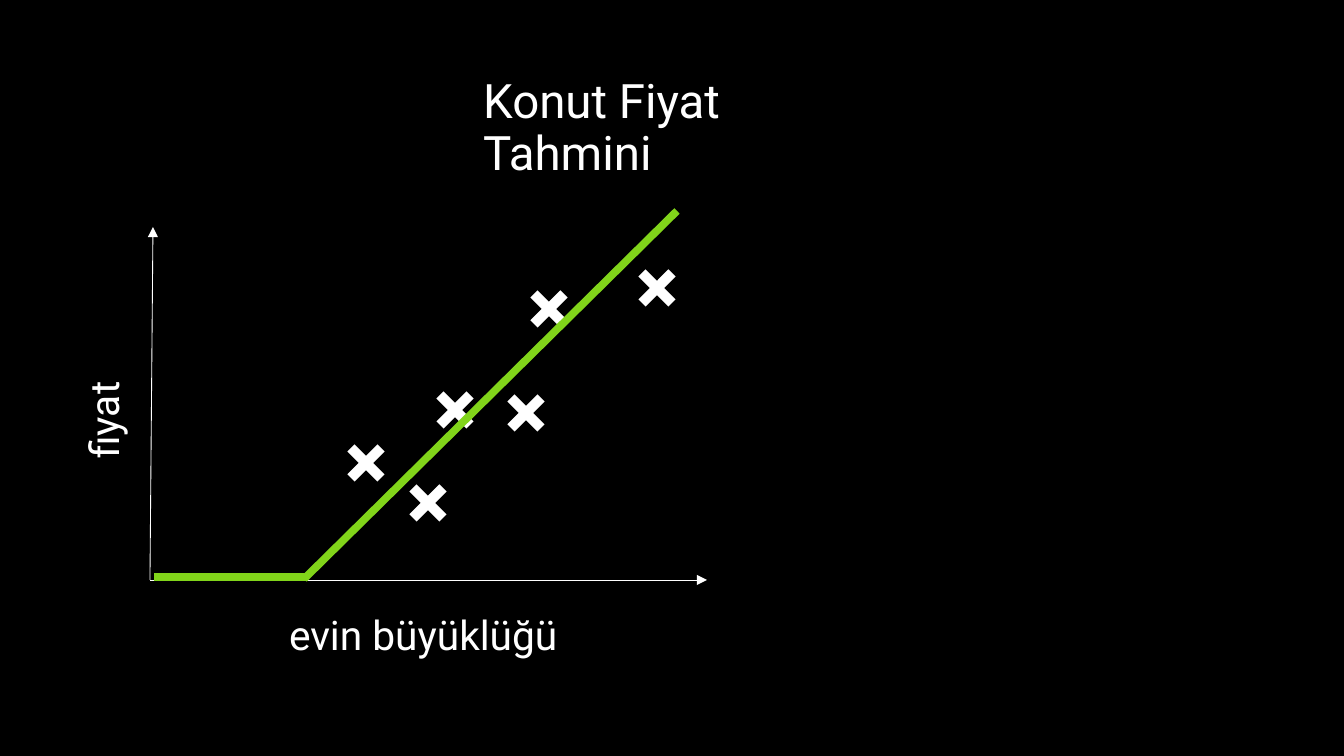
from pptx import Presentation
from pptx.dml.color import RGBColor
from pptx.enum.shapes import MSO_CONNECTOR as Link
from pptx.enum.text import MSO_ANCHOR as Anchor, MSO_AUTO_SIZE as Fit, PP_ALIGN as Align
from pptx.oxml.ns import qn
from pptx.util import Emu, Pt
from lxml.etree import SubElement

SCALE = 7495  # EMU in one px
BLACK = RGBColor(0x00, 0x00, 0x00)
WHITE = RGBColor(0xFF, 0xFF, 0xFF)
GREEN = RGBColor(0x81, 0xD4, 0x1A)
FONT = "Roboto"
HALF = 15  # half the width of a cross

# Centres of the houses on the plot
HOUSES = [(549, 309), (455, 410), (657, 288), (526, 413), (366, 463), (428, 503)]


def px(n):
    return Emu(n * SCALE)


def place(shape, left, top, width, height):
    shape.left, shape.top = px(left), px(top)
    shape.width, shape.height = px(width), px(height)


def write(shape, text, size):
    frame = shape.text_frame
    frame.text = text
    para = frame.paragraphs[0]
    para.alignment = Align.LEFT
    font = para.runs[0].font
    font.name, font.size = FONT, Pt(size)
    font.color.rgb = WHITE
    return frame


def add_title(slide, text, box):
    title = slide.shapes.title
    place(title, *box)
    frame = write(title, text, 28)
    frame.word_wrap = True
    frame.auto_size = Fit.NONE
    frame.vertical_anchor = Anchor.MIDDLE
    frame.paragraphs[0].line_spacing = 0.9


def add_label(slide, text, box, turn=0):
    label = slide.shapes.add_textbox(*map(px, box))
    label.rotation = turn
    frame = write(label, text, 24)
    frame.word_wrap = False
    frame.auto_size = Fit.SHAPE_TO_FIT_TEXT


def add_line(shapes, start, end, color, width, arrow=False):
    line = shapes.add_connector(Link.STRAIGHT, *map(px, (*start, *end)))
    line.line.color.rgb = color
    line.line.width = Pt(width)
    if arrow:
        SubElement(line.line._get_or_add_ln(), qn("a:tailEnd"), type="triangle")
    SubElement(line._element.spPr, qn("a:effectLst"))


def add_cross(slide, x, y):
    group = slide.shapes.add_group_shape()
    for rise in (-HALF, HALF):
        add_line(group.shapes, (x - HALF, y + rise), (x + HALF, y - rise), WHITE, 6)


def main():
    deck = Presentation()
    deck.slide_width, deck.slide_height = px(1344), px(756)
    slide = deck.slides.add_slide(deck.slide_layouts[5])
    fill = slide.background.fill
    fill.solid()
    fill.fore_color.rgb = BLACK

    add_title(slide, "Konut Fiyat Tahmini", (471, 56, 401, 146))

    # Axes and their labels
    origin = (150, 580)
    for tip in ((153, 227), (707, 580)):
        add_line(slide.shapes, origin, tip, WHITE, 0.5, arrow=True)
    add_label(slide, "evin büyüklüğü", (277, 604, 316, 61))
    add_label(slide, "fiyat", (50, 387, 106, 61), turn=270)

    # Houses
    for x, y in HOUSES:
        add_cross(slide, x, y)

    # Fitted line: rising part, then flat part
    add_line(slide.shapes, (677, 211), (304, 579), GREEN, 4.5)
    add_line(slide.shapes, (306, 577), (154, 577), GREEN, 4.5)

    deck.save("out.pptx")


if __name__ == "__main__":
    main()
